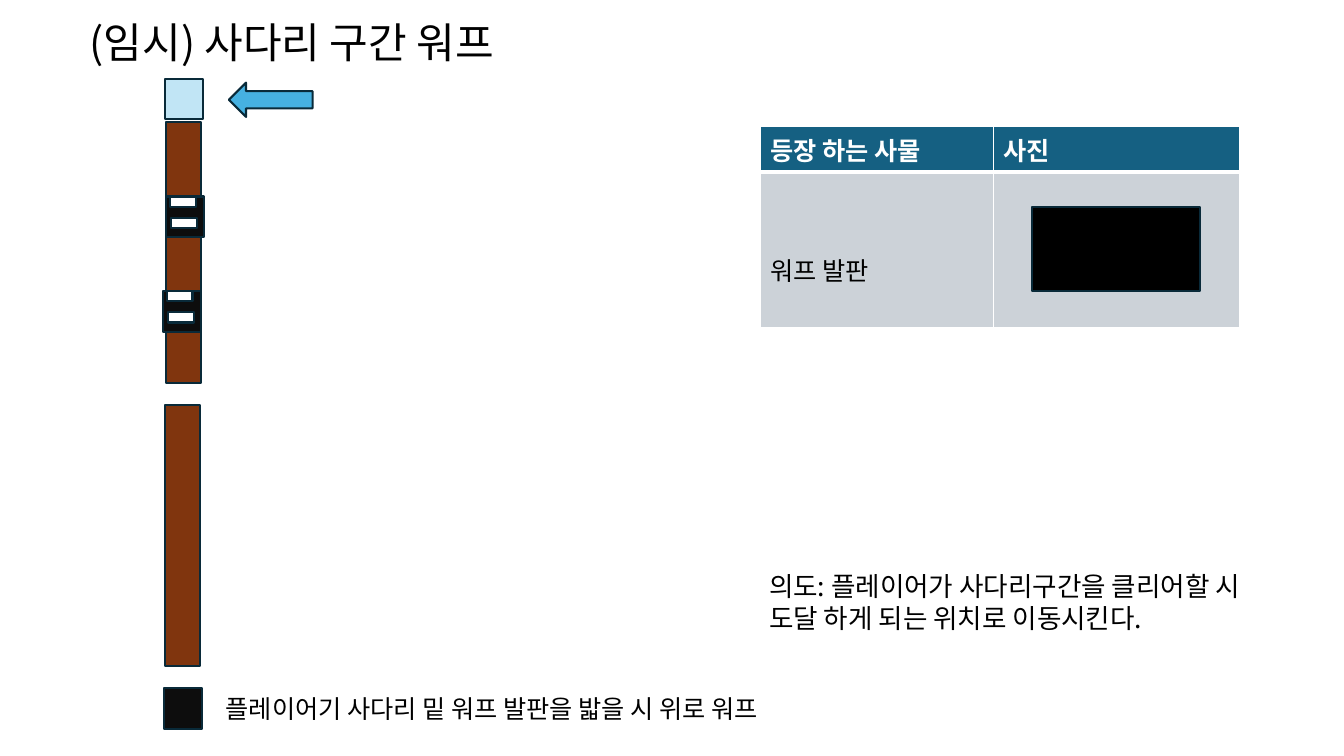
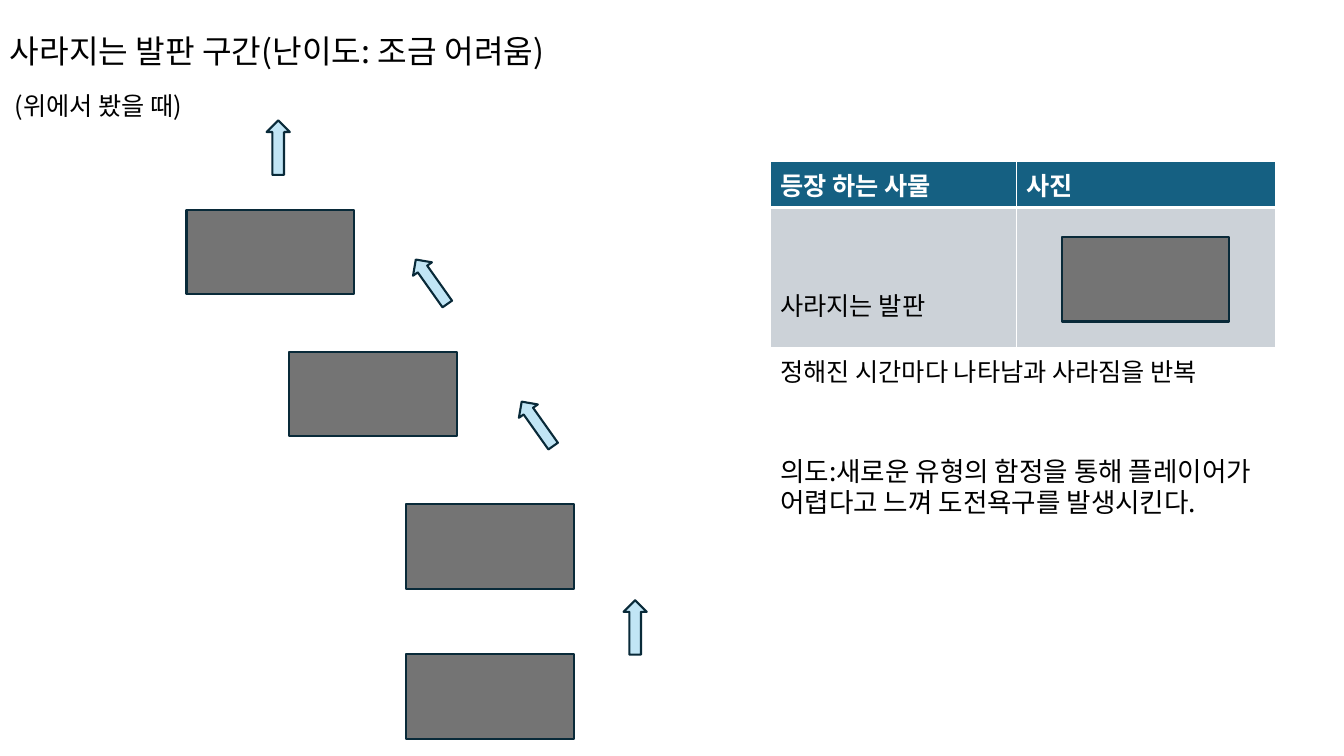
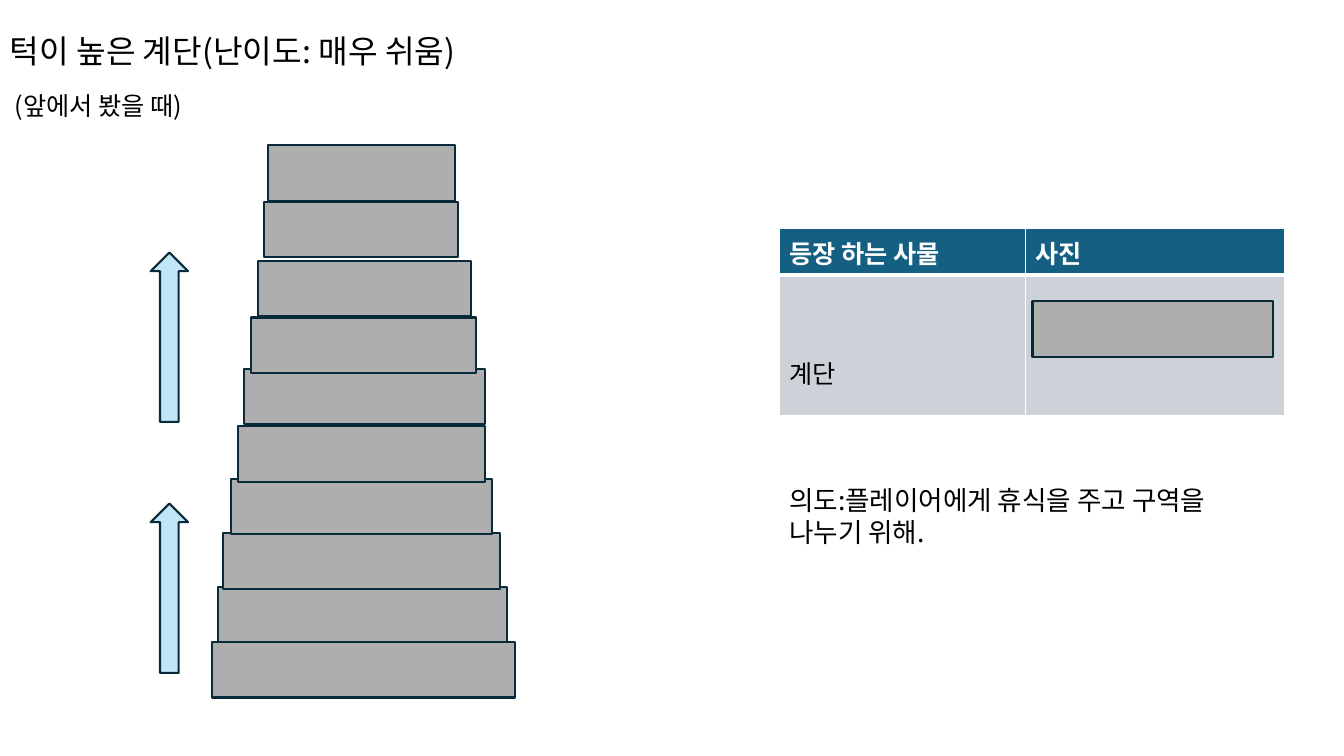
"""Builds three level-design slides: ladder warp, vanishing platforms and tall stairs."""
from dataclasses import dataclass

from lxml.etree import SubElement
from pptx import Presentation
from pptx.dml.color import RGBColor
from pptx.enum.shapes import MSO_SHAPE
from pptx.enum.text import MSO_ANCHOR
from pptx.oxml.ns import qn
from pptx.slide import Slide
from pptx.table import _Cell
from pptx.text.text import _Paragraph
from pptx.util import Emu, Pt

FONT = "Noto Sans CJK KR"
EMU_PER_PX = 9144
COLORS = {
    "text": "000000",
    "white": "FFFFFF",
    "outline": "092A39",
    "header": "156082",
    "body": "CCD2D8",
    "ladder": "80350E",
    "block": "0D0D0D",
    "warp": "000000",
    "sky": "C1E5F5",
    "blue": "46B1E1",
    "platform": "747474",
    "stair": "AEAEAE",
}
HEADINGS = ("등장 하는 사물", "사진")
HEADER_HEIGHT = 46
CELL_TEXT_TOP = 78
BLOCK_SIZE = (37, 40)
RUNG_SIZE = (25, 10)
RUNG_OFFSETS = ((4, 0), (5, 21))
LADDER_SIZE = (34, 259)
PLATFORM_SIZE = (166, 84)
STAIR_HEIGHT = 55


@dataclass(frozen=True)
class Box:
    left: int
    top: int
    width: int
    height: int


@dataclass(frozen=True)
class Label:
    box: Box
    lines: tuple[str, ...]
    size: int = 18


@dataclass(frozen=True)
class Figure:
    box: Box
    color: str
    rotation: float = 0
    kind: MSO_SHAPE = MSO_SHAPE.RECTANGLE


@dataclass(frozen=True)
class ObjectTable:
    left: int
    top: int
    columns: tuple[int, int]
    body_height: int
    name: str


def px(length: int) -> Emu:
    return Emu(length * EMU_PER_PX)


def rgb(name: str) -> RGBColor:
    return RGBColor.from_string(COLORS[name])


def place(box: Box) -> tuple[Emu, Emu, Emu, Emu]:
    return px(box.left), px(box.top), px(box.width), px(box.height)


def add_run(paragraph: _Paragraph, text: str, size: int, color: str = "text", bold: bool = False) -> None:
    run = paragraph.add_run()
    run.text = text
    run.font.size = Pt(size)
    run.font.bold = bold
    run.font.name = FONT
    run.font.color.rgb = rgb(color)
    SubElement(run.font._element, qn("a:ea"), typeface=FONT)


def add_label(slide: Slide, label: Label, anchor: MSO_ANCHOR = MSO_ANCHOR.TOP, spacing: float = 1.0) -> None:
    frame = slide.shapes.add_textbox(*place(label.box)).text_frame
    frame.word_wrap = True
    frame.vertical_anchor = anchor
    for index, line in enumerate(label.lines):
        paragraph = frame.add_paragraph() if index else frame.paragraphs[0]
        paragraph.line_spacing = spacing
        add_run(paragraph, line, label.size)


def add_title(slide: Slide, text: str, box: Box = Box(0, 0, 674, 106), size: int = 23) -> None:
    add_label(slide, Label(box, (text,), size), MSO_ANCHOR.MIDDLE, 0.9)


def add_figure(slide: Slide, figure: Figure) -> None:
    shape = slide.shapes.add_shape(figure.kind, *place(figure.box))
    shape.shadow.inherit = False
    shape.rotation = figure.rotation
    shape.fill.solid()
    shape.fill.fore_color.rgb = rgb(figure.color)
    shape.line.color.rgb = rgb("outline")
    shape.line.width = Pt(1.5)


def arrow(box: Box, rotation: float, color: str = "sky") -> Figure:
    return Figure(box, color, rotation, MSO_SHAPE.RIGHT_ARROW)


def platform(left: int, top: int) -> Figure:
    return Figure(Box(left, top, *PLATFORM_SIZE), "platform")


def stair(left: int, top: int, width: int) -> Figure:
    return Figure(Box(left, top, width, STAIR_HEIGHT), "stair")


def style_cell(cell: _Cell, fill: str, top: int, bottom: int) -> None:
    properties = cell._tc.get_or_add_tcPr()
    for side, points in (("L", 1), ("R", 1), ("T", top), ("B", bottom)):
        line = SubElement(properties, qn(f"a:ln{side}"), w=str(Pt(points)))
        solid = SubElement(line, qn("a:solidFill"))
        SubElement(solid, qn("a:srgbClr"), val=COLORS["white"])
    cell.fill.solid()
    cell.fill.fore_color.rgb = rgb(fill)


def add_object_table(slide: Slide, spec_table: ObjectTable) -> None:
    heights = (HEADER_HEIGHT, spec_table.body_height)
    box = Box(spec_table.left, spec_table.top, sum(spec_table.columns), sum(heights))
    table = slide.shapes.add_table(2, 2, *place(box)).table
    table.horz_banding = False
    for row, height in zip(table.rows, heights):
        row.height = px(height)
    for index, width in enumerate(spec_table.columns):
        table.columns[index].width = px(width)
        header, body = table.cell(0, index), table.cell(1, index)
        style_cell(header, "header", 1, 3)
        style_cell(body, "body", 3, 1)
        add_run(header.text_frame.paragraphs[0], HEADINGS[index], 18, "white", True)
    name_cell = table.cell(1, 0)
    name_cell.margin_top = px(CELL_TEXT_TOP)
    add_run(name_cell.text_frame.paragraphs[0], spec_table.name, 18)


def fill_slide(slide: Slide, table: ObjectTable, labels: list[Label], figures: list[Figure]) -> None:
    add_object_table(slide, table)
    for label in labels:
        add_label(slide, label)
    for figure in figures:
        add_figure(slide, figure)


def build_ladder(slide: Slide) -> None:
    add_title(slide, "(임시) 사다리 구간 워프", Box(79, -8, 1150, 106), 30)
    figures = [Figure(Box(left, top, *LADDER_SIZE), "ladder") for left, top in ((165, 121), (164, 402))]
    for left, top in ((165, 195), (162, 289)):
        figures.append(Figure(Box(left, top, *BLOCK_SIZE), "block"))
        figures += [Figure(Box(left + x, top + y, *RUNG_SIZE), "white") for x, y in RUNG_OFFSETS]
    figures += [
        Figure(Box(163, 683, *BLOCK_SIZE), "block"),
        Figure(Box(164, 78, *BLOCK_SIZE), "sky"),
        arrow(Box(227, 82, 83, 34), 180, "blue"),
        Figure(Box(1024, 205, *PLATFORM_SIZE), "warp"),
    ]
    labels = [
        Label(Box(753, 561, 543, 74), ("의도: 플레이어가 사다리구간을 클리어할 시", "도달 하게 되는 위치로 이동시킨다."), 19),
        Label(Box(214, 683, 622, 40), ("플레이어기 사다리 밑 워프 발판을 밟을 시 위로 워프",)),
    ]
    fill_slide(slide, ObjectTable(754, 125, (231, 244), 154, "워프 발판"), labels, figures)


def build_platforms(slide: Slide) -> None:
    add_title(slide, "사라지는 발판 구간(난이도: 조금 어려움)")
    spots = ((1053, 235), (403, 649), (403, 500), (287, 349), (185, 208))
    arrows = ((603, 611, 270), (506, 409, 234.7), (249, 135, 270), (401, 268, 234.7))
    figures = [platform(left, top) for left, top in spots]
    figures += [arrow(Box(left, top, 54, 23), rotation) for left, top, rotation in arrows]
    labels = [
        Label(Box(764, 446, 543, 74), ("의도:새로운 유형의 함정을 통해 플레이어가", "어렵다고 느껴 도전욕구를 발생시킨다."), 19),
        Label(Box(5, 85, 220, 40), ("(위에서 봤을 때)",)),
        Label(Box(764, 349, 485, 40), ("정해진 시간마다 나타남과 사라짐을 반복",)),
    ]
    fill_slide(slide, ObjectTable(764, 160, (244, 257), 139, "사라지는 발판"), labels, figures)


def build_stairs(slide: Slide) -> None:
    add_title(slide, "턱이 높은 계단(난이도: 매우 쉬움)")
    steps = (
        (210, 637, 301), (216, 582, 287), (221, 529, 275), (229, 475, 259), (236, 423, 245),
        (242, 366, 239), (249, 315, 223), (256, 259, 211), (262, 200, 192), (266, 144, 185),
        (1024, 299, 239),
    )
    figures = [stair(*step) for step in steps]
    figures += [arrow(Box(84, top, 168, 37), 270) for top in (565, 316)]
    labels = [
        Label(Box(773, 475, 489, 74), ("의도:플레이어에게 휴식을 주고 구역을", "나누기 위해."), 19),
        Label(Box(5, 85, 220, 40), ("(앞에서 봤을 때)",)),
    ]
    fill_slide(slide, ObjectTable(773, 227, (244, 257), 139, "계단"), labels, figures)


def main() -> None:
    presentation = Presentation()
    presentation.slide_width, presentation.slide_height = px(1333), px(750)
    for build in (build_ladder, build_platforms, build_stairs):
        build(presentation.slides.add_slide(presentation.slide_layouts[6]))
    presentation.save("out.pptx")


if __name__ == "__main__":
    main()
